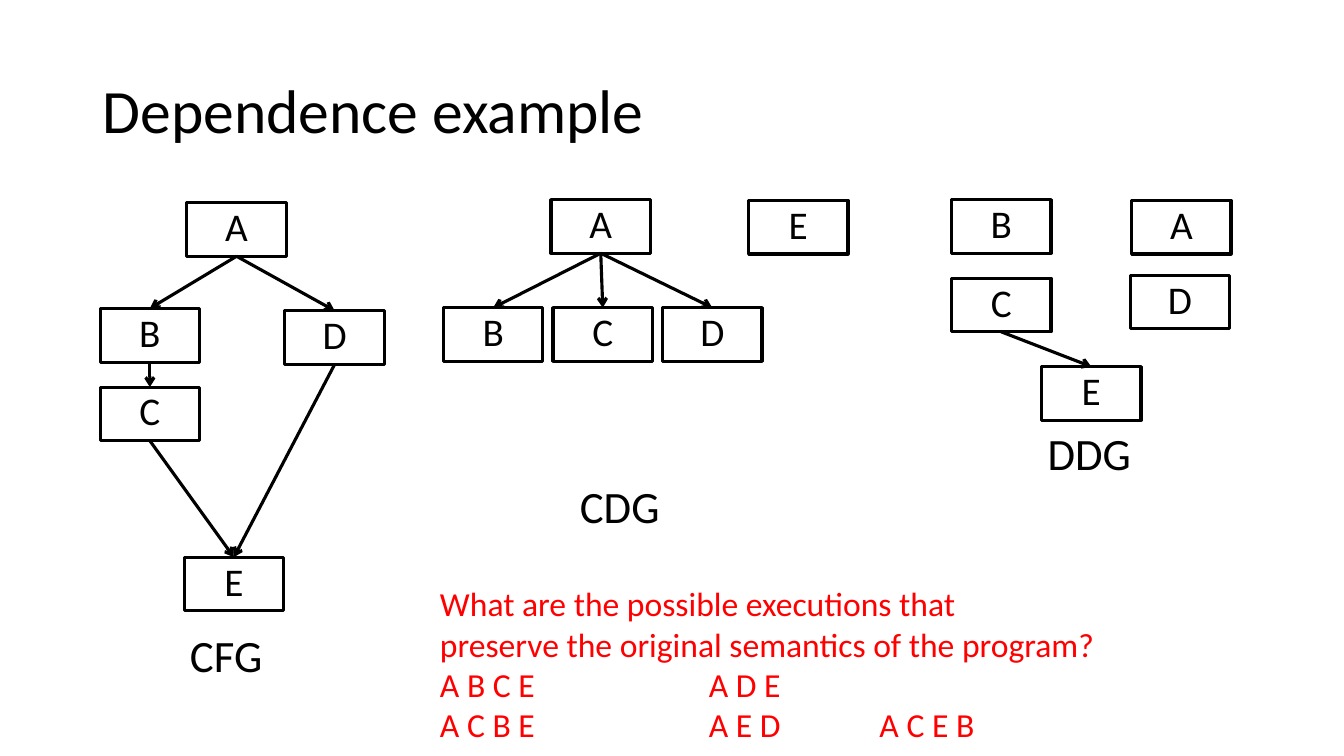
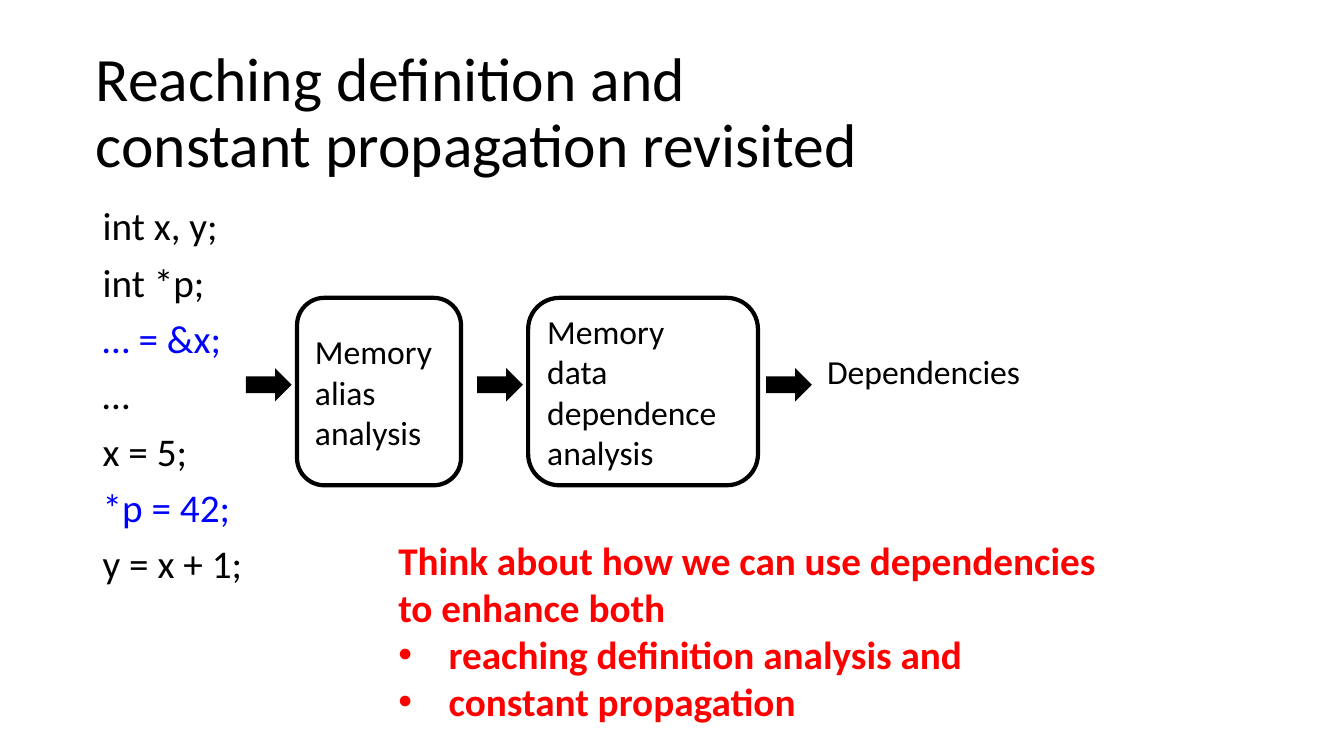
"""Build two slides on program dependences and reaching definitions."""
from lxml import etree
from pptx import Presentation
from pptx.dml.color import RGBColor
from pptx.enum.shapes import MSO_CONNECTOR, MSO_SHAPE
from pptx.enum.text import MSO_ANCHOR, PP_ALIGN
from pptx.oxml.ns import qn
from pptx.util import Inches, Pt

BLACK = RGBColor(0x00, 0x00, 0x00)
RED = RGBColor(0xFF, 0x00, 0x00)
BLUE = RGBColor(0x00, 0x00, 0xFF)
FONT = "Calibri"
RECTANGLE = MSO_SHAPE.RECTANGLE
ROUNDED = MSO_SHAPE.ROUNDED_RECTANGLE
RIGHT_ARROW = MSO_SHAPE.RIGHT_ARROW
STRAIGHT = MSO_CONNECTOR.STRAIGHT
TOP, MIDDLE = MSO_ANCHOR.TOP, MSO_ANCHOR.MIDDLE
LEFT, CENTER = PP_ALIGN.LEFT, PP_ALIGN.CENTER
BOTTOM_SIDE, TOP_SIDE = 2, 0

presentation = Presentation()
presentation.slide_width = Inches(13.33)
presentation.slide_height = Inches(7.5)
COLUMN = presentation.slide_width / 100
ROW = presentation.slide_height / 100


def add_box(slide, area, *lines, kind=None, outline=None, fill=None, size=24, color=BLACK,
            bold=False, align=LEFT, anchor=TOP, wrap=True, spacing=None, before=0):
    """Add a text box or preset shape; area is in percent of the slide."""
    left, top, width, height = area
    bounds = [round(length) for length in (left * COLUMN, top * ROW, width * COLUMN, height * ROW)]
    if kind is None:
        shape = slide.shapes.add_textbox(*bounds)
    else:
        shape = slide.shapes.add_shape(kind, *bounds)
        shape.shadow.inherit = False
        if fill is None:
            shape.fill.background()
        else:
            shape.fill.solid()
            shape.fill.fore_color.rgb = fill
        if outline is None:
            shape.line.fill.background()
        else:
            shape.line.color.rgb = BLACK
            shape.line.width = Pt(outline)
    frame = shape.text_frame
    frame.word_wrap = wrap
    frame.vertical_anchor = anchor
    for index, line in enumerate(lines):
        paragraph = frame.add_paragraph() if index else frame.paragraphs[0]
        paragraph.text = line
        paragraph.alignment = align
        paragraph.line_spacing = spacing
        if index and before:
            paragraph.space_before = Pt(before)
        for run in paragraph.runs:
            run.font.name = FONT
            run.font.size = Pt(size)
            run.font.bold = bold
            run.font.color.rgb = color
    return shape


TITLES = [
    (6.9, 5.3, "Dependence example"),
    (6.4, 5.5, "Reaching definition and\vconstant propagation revisited"),
]
slides = []
for left, top, title in TITLES:
    slide = presentation.slides.add_slide(presentation.slide_layouts[6])
    add_box(slide, (left, top, 86.3, 19.3), title, size=44, anchor=MIDDLE, spacing=0.9)
    slides.append(slide)
graph_slide, analysis_slide = slides

NODE_WIDTH, NODE_HEIGHT = 7.4, 7.1
GRAPHS = [
    ("CFG", (13.4, 82.4, 7.0, 8.5),
     {"A": (13.9, 26.8), "B": (7.45, 40.8), "C": (7.45, 51.2), "D": (21.2, 41.1), "E": (13.7, 73.7)},
     ("AB", "AD", "BC", "CE", "DE")),
    ("CDG", (42.4, 62.7, 7.5, 8.5),
     {"A": (41.0, 26.4), "B": (33.0, 40.7), "C": (41.15, 40.7), "D": (49.3, 40.7), "E": (55.7, 26.5)},
     ("AB", "AC", "AD")),
    ("DDG", (77.2, 55.6, 7.8, 8.5),
     {"A": (84.2, 26.5), "B": (70.8, 26.4), "C": (70.8, 36.8), "D": (84.1, 36.4), "E": (77.5, 48.5)},
     ("CE",)),
]
for name, label_area, positions, edges in GRAPHS:
    nodes = {
        letter: add_box(graph_slide, (*position, NODE_WIDTH, NODE_HEIGHT), letter, kind=RECTANGLE,
                        outline=2.25, size=28, align=CENTER, spacing=0.9)
        for letter, position in positions.items()
    }
    for source, target in edges:
        connector = graph_slide.shapes.add_connector(STRAIGHT, 0, 0, 0, 0)
        connector.begin_connect(nodes[source], BOTTOM_SIDE)
        connector.end_connect(nodes[target], TOP_SIDE)
        connector.line.color.rgb = BLACK
        connector.line.width = Pt(2.25)
        properties = connector._element.spPr
        etree.SubElement(properties.find(qn("a:ln")), qn("a:tailEnd"), type="arrow")
        etree.SubElement(properties, qn("a:effectLst"))
    add_box(graph_slide, label_area, name, size=32, wrap=False)

question = add_box(
    graph_slide, (32, 76.5, 50.8, 22.9),
    "What are the possible executions that\vpreserve the original semantics of the program?",
    "A B C E\tA D E",
    "A C B E\tA E D\tA C E B",
    color=RED)
for paragraph in question.text_frame.paragraphs[1:]:
    tabs = etree.SubElement(paragraph._p.get_or_add_pPr(), qn("a:tabLst"))
    for stop in (20, 32.7):
        etree.SubElement(tabs, qn("a:tab"), pos=str(round(stop * COLUMN)), algn="l")

code = add_box(
    analysis_slide, (6.9, 26.7, 14.6, 63.5),
    "int x, y;", "int *p;", "… = &x;", "…", "x = 5;", "*p = 42;", "y = x + 1;",
    size=28, spacing=0.9, before=10)
for index in (2, 5):
    code.text_frame.paragraphs[index].runs[0].font.color.rgb = BLUE

STAGES = [
    (22.1, 12.2, ["Memory alias analysis"]),
    (39.3, 17.1, ["Memory", "data dependence analysis"]),
]
for left, width, lines in STAGES:
    add_box(analysis_slide, (left, 39.4, width, 24.8), *lines, kind=ROUNDED, outline=3, anchor=MIDDLE)
for left in (18.3, 35.5, 57):
    add_box(analysis_slide, (left, 48.7, 3.4, 4.4), kind=RIGHT_ARROW, fill=BLACK)
add_box(analysis_slide, (60.8, 45.7, 32.1, 6.7), "Dependencies")

advice = add_box(
    analysis_slide, (28.9, 70.3, 56.2, 26.5),
    "Think about how we can use dependencies\vto enhance both",
    "reaching definition analysis and",
    "constant propagation",
    size=28, color=RED, bold=True)
for paragraph in advice.text_frame.paragraphs[1:]:
    properties = paragraph._p.get_or_add_pPr()
    properties.set("marL", str(Inches(0.5)))
    properties.set("indent", str(-Inches(0.5)))
    etree.SubElement(properties, qn("a:buFont"), typeface="Arial")
    etree.SubElement(properties, qn("a:buChar"), char="•")

presentation.save("out.pptx")
